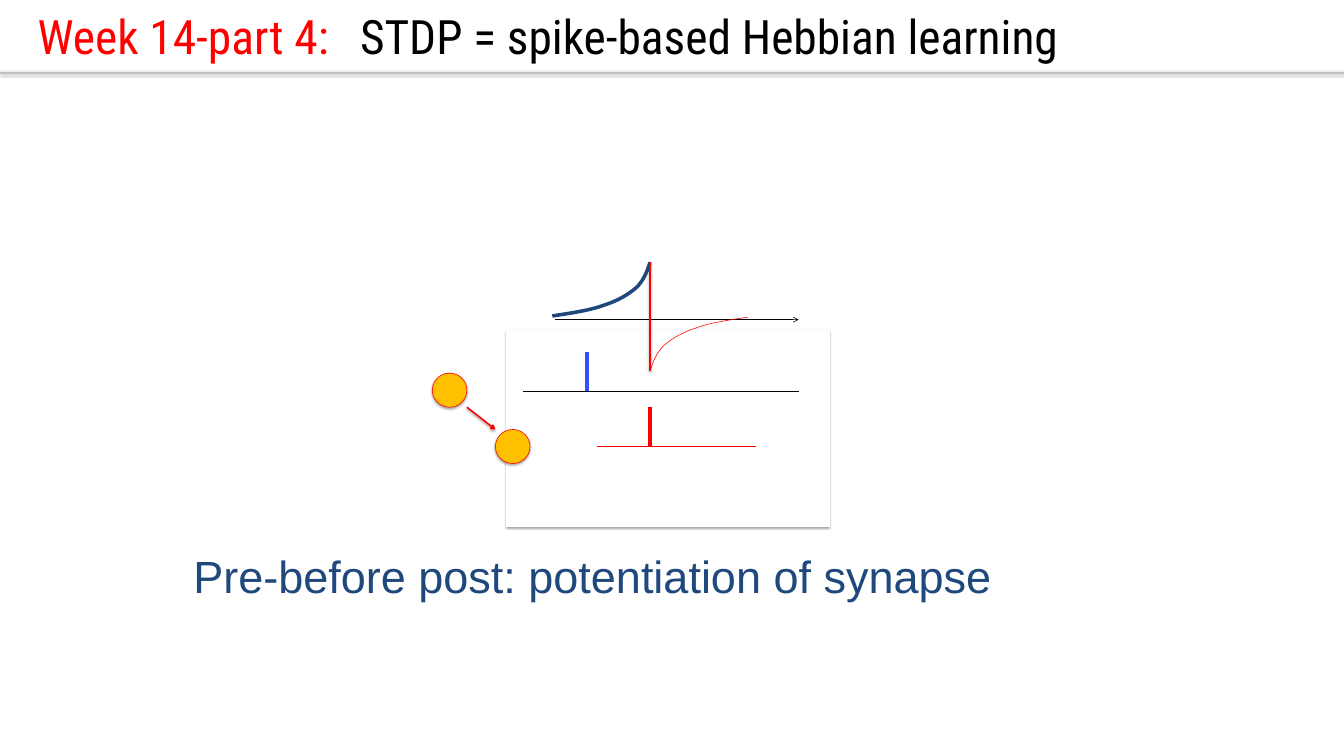
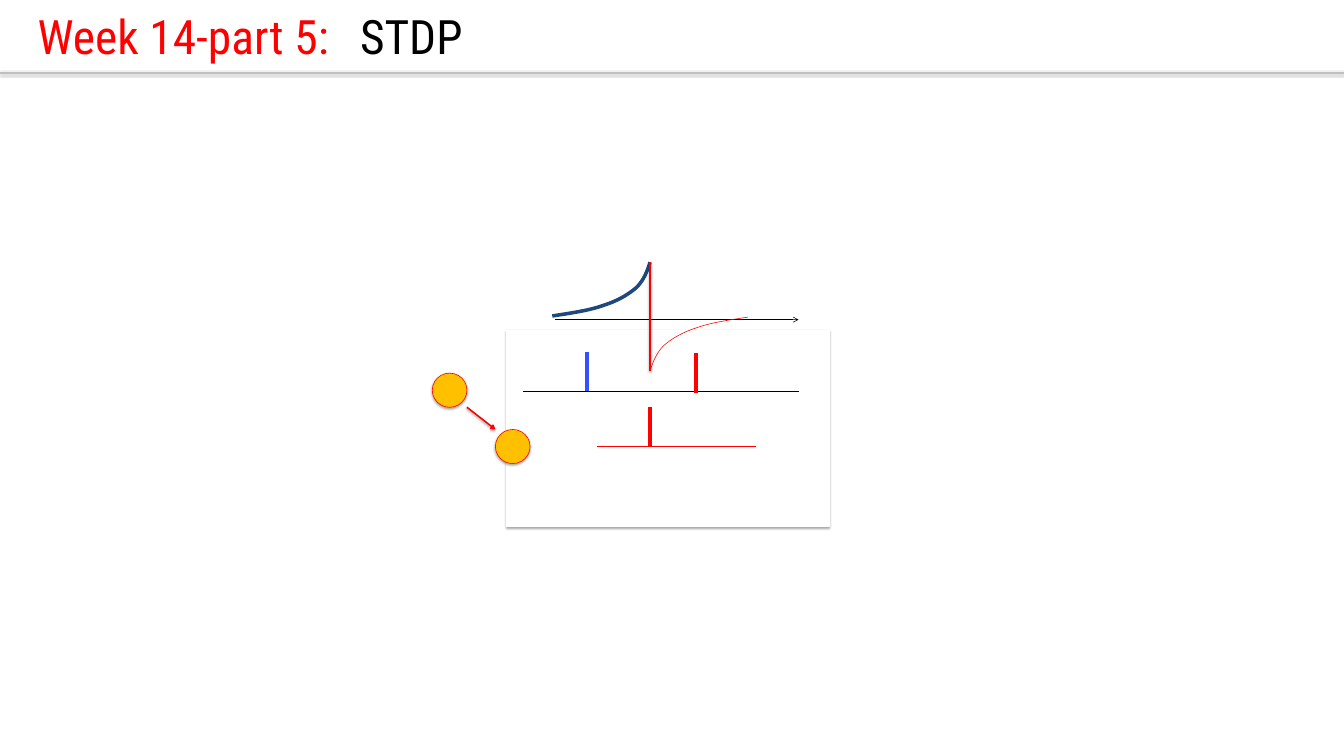
from lxml.etree import SubElement
from pptx import Presentation
from pptx.dml.color import RGBColor
from pptx.enum.shapes import MSO_CONNECTOR, MSO_SHAPE
from pptx.enum.text import MSO_ANCHOR, MSO_AUTO_SIZE, PP_ALIGN
from pptx.oxml.ns import qn
from pptx.util import Inches, Pt

COLORS = {
    "white": "FFFFFF", "black": "000000", "red": "FF0000", "blue": "3550FE",
    "navy": "1F497D", "orange": "FFC000", "gray": "BFBFBF",
}
TITLE_FONT = "Roboto Condensed"
BODY_FONT = "Arial"
WIDTH, HEIGHT = 23.63, 13.29
THIN, MEDIUM, THICK = 0.75, 2, 4.5
POST_TIME = 11.43
CURVE_MIDDLE = 5.565
CURVE_START = (0, -0.955)
CURVE_SEGMENTS = [
    [(-0.05, -0.8), (-0.11, -0.64), (-0.24, -0.51)],
    [(-0.38, -0.39), (-0.56, -0.28), (-0.81, -0.2)],
    [(-1.05, -0.11), (-1.39, -0.06), (-1.72, -0.01)],
]


def curve_points(steps=16):
    """Return points along the learning window, relative to its centre."""
    points = [CURVE_START]
    for segment in CURVE_SEGMENTS:
        corners = [points[-1], *segment]
        for step in range(1, steps + 1):
            t = step / steps
            weights = [(1 - t) ** 3, 3 * t * (1 - t) ** 2, 3 * t * t * (1 - t), t ** 3]
            points.append(tuple(
                sum(weight * corner[axis] for weight, corner in zip(weights, corners))
                for axis in (0, 1)
            ))
    return points


class Deck:
    """Hold the shared style and the current slide."""

    def __init__(self):
        self.presentation = Presentation()
        self.presentation.slide_width = Inches(WIDTH)
        self.presentation.slide_height = Inches(HEIGHT)
        self.slide = None

    def color(self, name):
        """Return a named colour."""
        return RGBColor.from_string(COLORS[name])

    def stroke(self, shape, color, width):
        """Set the outline of a shape or line."""
        shape.line.color.rgb = self.color(color)
        shape.line.width = Pt(width)

    def shadow(self, effects, opacity, distance):
        """Add a soft shadow that falls straight down."""
        outer = SubElement(
            effects, qn("a:outerShdw"), blurRad=str(Pt(3.1)), dist=str(Pt(distance)),
            dir="5400000", rotWithShape="0",
        )
        tint = SubElement(outer, qn("a:srgbClr"), val=COLORS["black"])
        SubElement(tint, qn("a:alpha"), val=str(opacity * 1000))

    def run(self, paragraph, text, font, size, color):
        """Add one formatted run."""
        run = paragraph.add_run()
        run.text = text
        run.font.name = font
        run.font.size = Pt(size)
        run.font.color.rgb = self.color(color)

    def title_slide(self, part, topic):
        """Start a slide with a two-colour title."""
        self.slide = self.presentation.slides.add_slide(self.presentation.slide_layouts[5])
        title = self.slide.shapes.title
        title.left, title.top = Inches(0.56), Inches(0)
        title.width, title.height = Inches(22.81), Inches(1.61)
        frame = title.text_frame
        frame.auto_size = MSO_AUTO_SIZE.NONE
        frame.vertical_anchor = MSO_ANCHOR.TOP
        frame.margin_left = Inches(0.1)
        frame.margin_top = Inches(0.12)
        paragraph = frame.paragraphs[0]
        paragraph.alignment = PP_ALIGN.LEFT
        tabs = SubElement(paragraph._p.get_or_add_pPr(), qn("a:tabLst"))
        SubElement(tabs, qn("a:tab"), pos=str(Inches(5.67)), algn="l")
        self.run(paragraph, part, TITLE_FONT, 60, "red")
        self.run(paragraph, "\t" + topic, TITLE_FONT, 60, "black")

    def line(self, start, end, color, width, arrow=False, shadow=False):
        """Draw a straight line, with an arrowhead or shadow if asked."""
        connector = self.slide.shapes.add_connector(
            MSO_CONNECTOR.STRAIGHT, *(Inches(value) for value in (*start, *end))
        )
        self.stroke(connector, color, width)
        properties = connector.element.spPr
        if arrow:
            SubElement(properties.find(qn("a:ln")), qn("a:tailEnd"), type="arrow")
        effects = SubElement(properties, qn("a:effectLst"))
        if shadow:
            self.shadow(effects, 38, 1.6)

    def shape(self, kind, left, top, width, height, fill, outline):
        """Draw a filled preset shape with a shadow."""
        shape = self.slide.shapes.add_shape(
            kind, Inches(left), Inches(top), Inches(width), Inches(height)
        )
        shape.fill.solid()
        shape.fill.fore_color.rgb = self.color(fill)
        self.stroke(shape, outline, THIN)
        shape.shadow.inherit = False
        self.shadow(shape.element.spPr.find(qn("a:effectLst")), 35, 1.8)

    def curve(self, sign, color, width):
        """Draw one half of the learning window."""
        points = [
            (Inches(POST_TIME + sign * x), Inches(CURVE_MIDDLE + sign * y))
            for x, y in curve_points()
        ]
        builder = self.slide.shapes.build_freeform(*points[0])
        builder.add_line_segments(points[1:], close=False)
        curve = builder.convert_to_shape()
        curve.fill.background()
        self.stroke(curve, color, width)
        curve.shadow.inherit = False

    def spike(self, time, base, color):
        """Draw a spike that stands on a baseline."""
        self.line((time, base - 0.7), (time, base), color, THICK)

    def diagram(self):
        """Draw the neurons, the spike trains and the learning window."""
        self.shape(MSO_SHAPE.RECTANGLE, 8.9, 5.8, 5.68, 3.46, "white", "white")
        self.line((9.2, 6.88), (14.04, 6.88), "black", THIN)
        self.line((10.5, 7.85), (13.29, 7.85), "red", THIN)
        self.spike(10.32, 6.88, "blue")
        self.spike(POST_TIME, 7.85, "red")
        self.line((9.76, 5.62), (14.04, 5.62), "black", THIN, arrow=True)
        self.curve(1, "navy", THICK)
        self.curve(-1, "red", THIN)
        self.line((POST_TIME, 4.61), (POST_TIME, 6.52), "red", MEDIUM, shadow=True)
        for left, top in ((7.6, 6.56), (8.71, 7.55)):
            self.shape(MSO_SHAPE.OVAL, left, top, 0.61, 0.6, "orange", "red")
        self.line((8.21, 7.16), (8.71, 7.55), "red", MEDIUM, arrow=True, shadow=True)

    def header_rule(self):
        """Draw the rule under the title."""
        self.line((0, 1.28), (WIDTH, 1.28), "gray", MEDIUM, shadow=True)

    def caption(self, text):
        """Add the statement below the diagram."""
        box = self.slide.shapes.add_textbox(
            Inches(3.3), Inches(9.59), Inches(14.4), Inches(1.06)
        )
        box.text_frame.word_wrap = False
        self.run(box.text_frame.paragraphs[0], text, BODY_FONT, 57, "navy")


def main():
    """Build and save both slides."""
    deck = Deck()
    deck.title_slide("Week 14-part 4:", "STDP = spike-based Hebbian learning")
    deck.diagram()
    deck.header_rule()
    deck.caption("Pre-before post: potentiation of synapse")

    deck.title_slide("Week 14-part 5:", "STDP")
    deck.diagram()
    deck.spike(12.24, 6.9, "red")
    deck.header_rule()
    deck.presentation.save("out.pptx")


if __name__ == "__main__":
    main()
